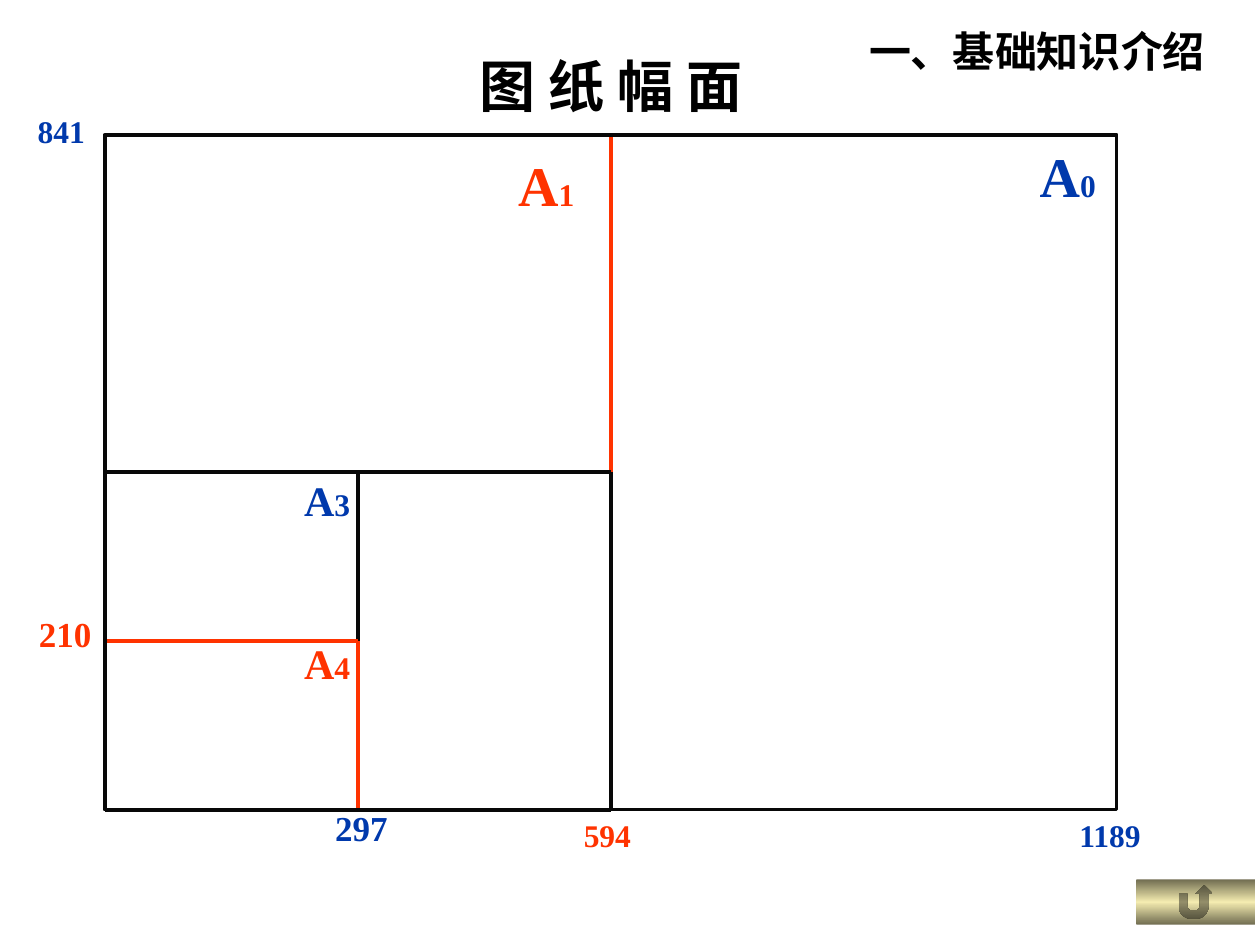
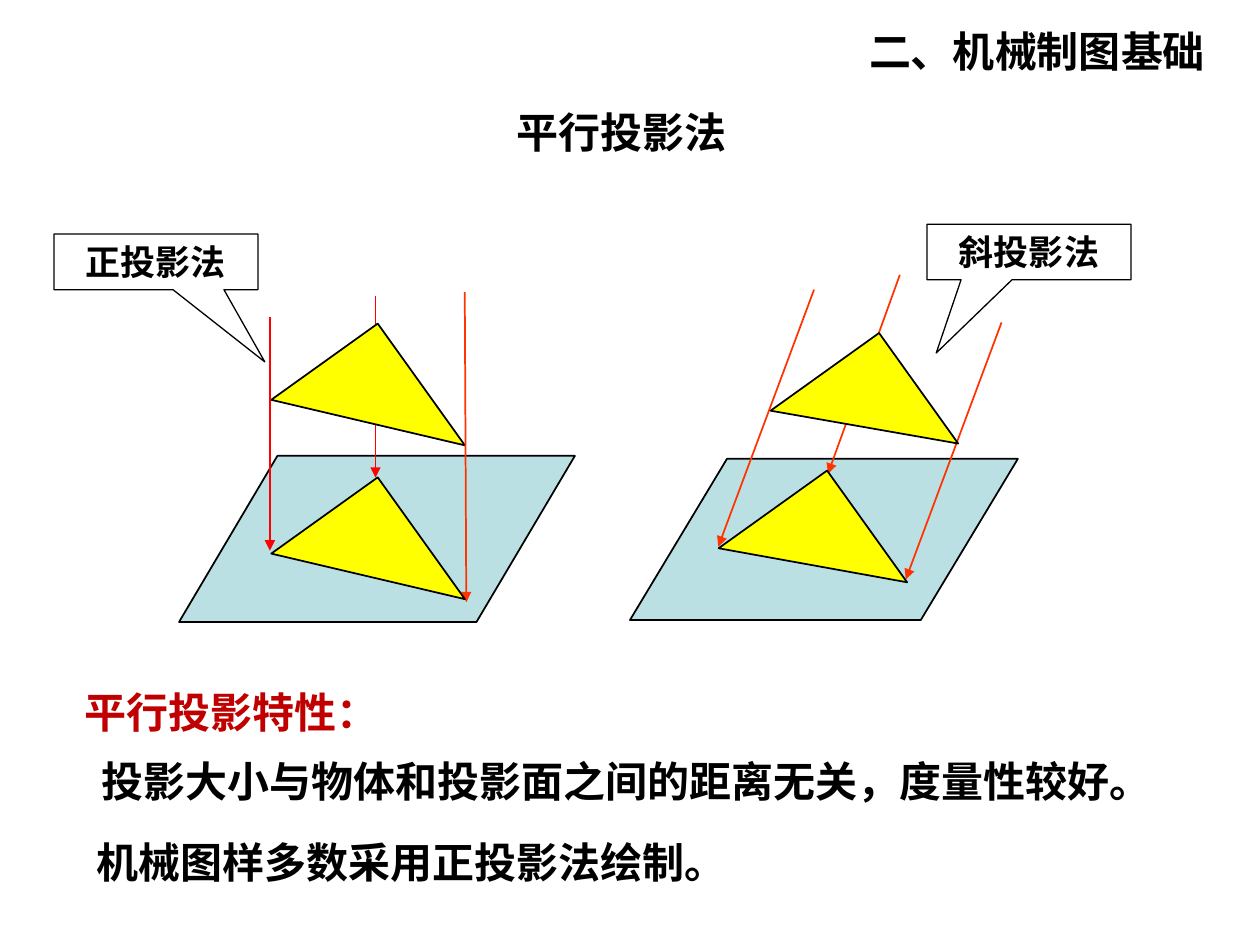
import copy

import pptx
import pptx.dml.color
import pptx.enum.shapes
import pptx.enum.text
import pptx.oxml
import pptx.oxml.ns
import pptx.util

Cm = pptx.util.Cm
SHAPES = pptx.enum.shapes.MSO_SHAPE
ALIGN = pptx.enum.text.PP_ALIGN
ANCHOR = pptx.enum.text.MSO_ANCHOR

# Shared look
BLACK, INK, RED, BLUE = "000000", "080808", "FF3300", "0039AC"
PURE_RED, DARK_RED, YELLOW, PALE_TEAL = "FF0000", "C00000", "FFFF00", "BBE0E3"
BRONZE, CREAM = "716D51", "F4ECB0"
CJK, SERIF = "Noto Sans CJK SC", "Times New Roman"
SECTION_AREA = (16.41, 0, 8.99, 2.03)

# The A0 sheet; every smaller sheet halves it and keeps the lower left corner
SHEET_LEFT, SHEET_TOP, SHEET_WIDTH, SHEET_HEIGHT = 2.11, 2.72, 20.4, 13.6
SHEET_LINE = 2.25
TRIANGLE_TURN = 144.4


def color(value):
    return pptx.dml.color.RGBColor.from_string(value)


def set_all(target, formats):
    for name, value in formats.items():
        setattr(target, name, value)


def place(shape, area):
    sides = ("left", "top", "width", "height")
    set_all(shape, dict(zip(sides, map(Cm, area))))


def drawing_element(tag, **attributes):
    element = pptx.oxml.parse_xml(f"<a:{tag} {pptx.oxml.ns.nsdecls('a')}/>")
    for name, value in attributes.items():
        element.set(name, value)
    return element


def write(frame, spans, ink=BLACK, font=CJK, align=ALIGN.CENTER,
          anchor=ANCHOR.MIDDLE, wrap=True):
    """Fill a text frame with one paragraph of (text, size) spans."""
    set_all(frame, {"word_wrap": wrap, "vertical_anchor": anchor})
    para = frame.paragraphs[0]
    para.alignment = align
    for text, size in spans:
        span = para.add_run()
        span.text = text
        set_all(span.font, {"size": pptx.util.Pt(size), "bold": True, "name": font})
        span.font.color.rgb = color(ink)
        latin = span.font._element.find(pptx.oxml.ns.qn("a:latin"))
        latin.addnext(drawing_element("ea", typeface=CJK))


def add_text(page, area, spans, **style):
    box = page.shapes.add_textbox(*map(Cm, area))
    write(box.text_frame, spans, **style)


def add_label(page, area, spans, ink, align=ALIGN.CENTER):
    add_text(page, area, spans, ink=ink, font=SERIF, align=align,
             anchor=ANCHOR.TOP, wrap=False)


def add_figure(page, kind, area, fill=None, line=BLACK, weight=1, adjust=(), turn=0):
    shape = page.shapes.add_shape(kind, *map(Cm, area))
    shape.shadow.inherit = False
    shape.rotation = turn
    for index, value in enumerate(adjust):
        shape.adjustments[index] = value
    if fill:
        shape.fill.solid()
        shape.fill.fore_color.rgb = color(fill)
    else:
        shape.fill.background()
    if line:
        shape.line.color.rgb = color(line)
        shape.line.width = pptx.util.Pt(weight)
    else:
        shape.line.fill.background()
    return shape


def add_line(page, start, end, ink, weight=1, arrow=False):
    line = page.shapes.add_connector(
        pptx.enum.shapes.MSO_CONNECTOR.STRAIGHT, *map(Cm, (*start, *end)))
    line.line.color.rgb = color(ink)
    line.line.width = pptx.util.Pt(weight)
    if arrow:
        line.line._get_or_add_ln().append(drawing_element("tailEnd", type="triangle"))
    line._element.spPr.append(drawing_element("effectLst"))


def add_page(deck, section):
    """Add a slide with its section heading at the top right."""
    page = deck.slides.add_slide(deck.slide_layouts[5])
    place(page.shapes.title, SECTION_AREA)
    write(page.shapes.title.text_frame, [(section, 24)])
    return page


def add_sheet(page, halvings, ink):
    """Outline the sheet left after halving A0 the given number of times."""
    width = SHEET_WIDTH / 2 ** ((halvings + 1) // 2)
    height = SHEET_HEIGHT / 2 ** (halvings // 2)
    right, bottom = SHEET_LEFT + width, SHEET_TOP + SHEET_HEIGHT
    top = bottom - height
    corners = [(SHEET_LEFT, top), (right, top), (right, bottom), (SHEET_LEFT, bottom)]
    for start, end in zip(corners, corners[1:] + corners[:1]):
        add_line(page, start, end, ink, SHEET_LINE)


def add_return_button(page, area):
    button = add_figure(page, SHAPES.ACTION_BUTTON_RETURN, area, line=None)
    button.fill.gradient()
    button.fill.gradient_angle = 90
    first = button._element.spPr.find(".//" + pptx.oxml.ns.qn("a:gs"))
    first.addnext(copy.deepcopy(first))
    stops = zip(button.fill.gradient_stops, (0, 0.5, 1), (BRONZE, CREAM, BRONZE))
    for stop, position, tint in stops:
        stop.position = position
        stop.color.rgb = color(tint)


def add_callout(page, area, text, tip):
    callout = add_figure(page, SHAPES.RECTANGULAR_CALLOUT, area,
                         weight=0.75, adjust=tip)
    write(callout.text_frame, [(text, 20)], font=SERIF)


def add_projection(page, plane, slant, object_area, image_area, rays_behind, rays_front):
    """Draw a plane, a triangle, its image on the plane and the rays."""
    def add_rays(rays):
        for start, end, ink in rays:
            add_line(page, start, end, ink, arrow=True)

    def add_triangle(area):
        add_figure(page, SHAPES.RIGHT_TRIANGLE, area, YELLOW, turn=TRIANGLE_TURN)

    add_figure(page, SHAPES.PARALLELOGRAM, plane, PALE_TEAL, adjust=[slant])
    add_rays(rays_behind)
    add_triangle(object_area)
    add_rays(rays_front)
    add_triangle(image_area)


def build_sheet_sizes(deck):
    page = add_page(deck, "一、基础知识介绍")
    add_text(page, (8.51, 0.91, 7.62, 1.6), [("图 纸 幅 面", 32)], anchor=ANCHOR.TOP)

    # Sheets, lowest first
    for halvings, ink in ((1, RED), (3, INK), (4, RED), (2, INK)):
        add_sheet(page, halvings, ink)
    add_figure(page, SHAPES.RECTANGLE,
               (SHEET_LEFT, SHEET_TOP, SHEET_WIDTH, SHEET_HEIGHT),
               line=INK, weight=SHEET_LINE)

    # Sheet names
    for number, left, top, size, ink in (
            ("0", 20.7, 2.72, 32, BLUE), ("1", 10.19, 2.9, 32, RED),
            ("3", 5.87, 9.45, 24, BLUE), ("4", 5.87, 12.73, 24, RED)):
        width, height = (1.65, 1.6) if size == 32 else (1.45, 1.27)
        add_label(page, (left, top, width, height), [("A", size), (number, 18)], ink)

    # Dimensions in millimetres
    for text, area, size, ink, align in (
            ("841", (0.51, 2.13, 1.47, 1.02), 18, BLUE, ALIGN.LEFT),
            ("210", (0.53, 12.22, 1.57, 1.09), 20, RED, ALIGN.CENTER),
            ("297", (6.5, 16.13, 1.57, 1.09), 20, BLUE, ALIGN.CENTER),
            ("594", (11.51, 16.33, 1.47, 1.02), 18, RED, ALIGN.CENTER),
            ("1189", (21.51, 16.33, 1.78, 1.02), 18, BLUE, ALIGN.LEFT)):
        add_label(page, area, [(text, size)], ink, align)

    add_return_button(page, (22.91, 17.73, 2.39, 0.91))


def build_parallel_projection(deck):
    page = add_page(deck, "二、机械制图基础")
    add_text(page, (7.24, 2.03, 10.59, 1.27), [("平行投影法", 24)], font=SERIF)

    # Orthogonal projection
    add_projection(
        page, (3.61, 9.19, 7.98, 3.35), 0.592,
        (6.1, 7.01, 2.64, 3.02), (6.1, 10.11, 2.64, 3.02),
        rays_behind=[((7.57, 5.97), (7.57, 9.63), PURE_RED)],
        rays_front=[((9.37, 5.89), (9.4, 12.14), RED),
                    ((5.44, 6.4), (5.44, 11.1), PURE_RED)])
    add_callout(page, (1.09, 4.72, 4.11, 1.12), "正投影法", (0.534, 1.8))

    # Oblique projection
    add_projection(
        page, (12.7, 9.25, 7.82, 3.25), 0.602,
        (16.08, 7.24, 2.69, 2.74), (15.04, 10.01, 2.69, 2.77),
        rays_behind=[((20.19, 6.5), (18.26, 11.68), RED),
                     ((18.14, 5.54), (16.69, 9.55), RED),
                     ((16.41, 5.84), (14.48, 11.02), RED)],
        rays_front=[])
    add_callout(page, (18.69, 4.52, 4.11, 1.12), "斜投影法", (-0.455, 1.819))

    # Properties
    add_text(page, (0.3, 13.72, 8.74, 1.27), [("平行投影特性：", 24)], ink=DARK_RED)
    add_text(page, (1.8, 15.11, 23.6, 1.27),
             [("投影大小与物体和投影面之间的距离无关，度量性较好。", 24)], align=ALIGN.LEFT)
    add_text(page, (1.7, 16.74, 20.12, 1.27),
             [("机械图样多数采用正投影法绘制。", 24)], font=SERIF, align=ALIGN.LEFT)


def main():
    deck = pptx.Presentation()
    set_all(deck, {"slide_width": Cm(25.4), "slide_height": Cm(19.05)})
    build_sheet_sizes(deck)
    build_parallel_projection(deck)
    deck.save("out.pptx")


if __name__ == "__main__":
    main()
